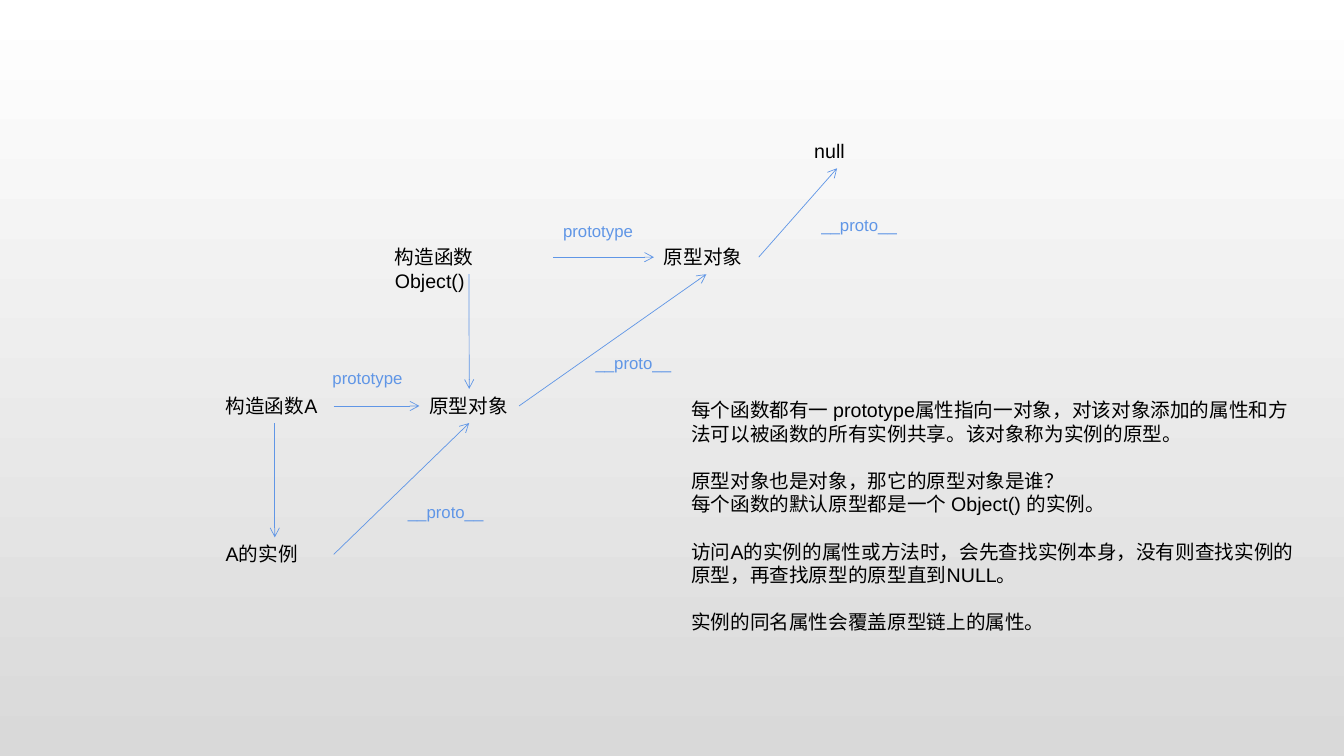
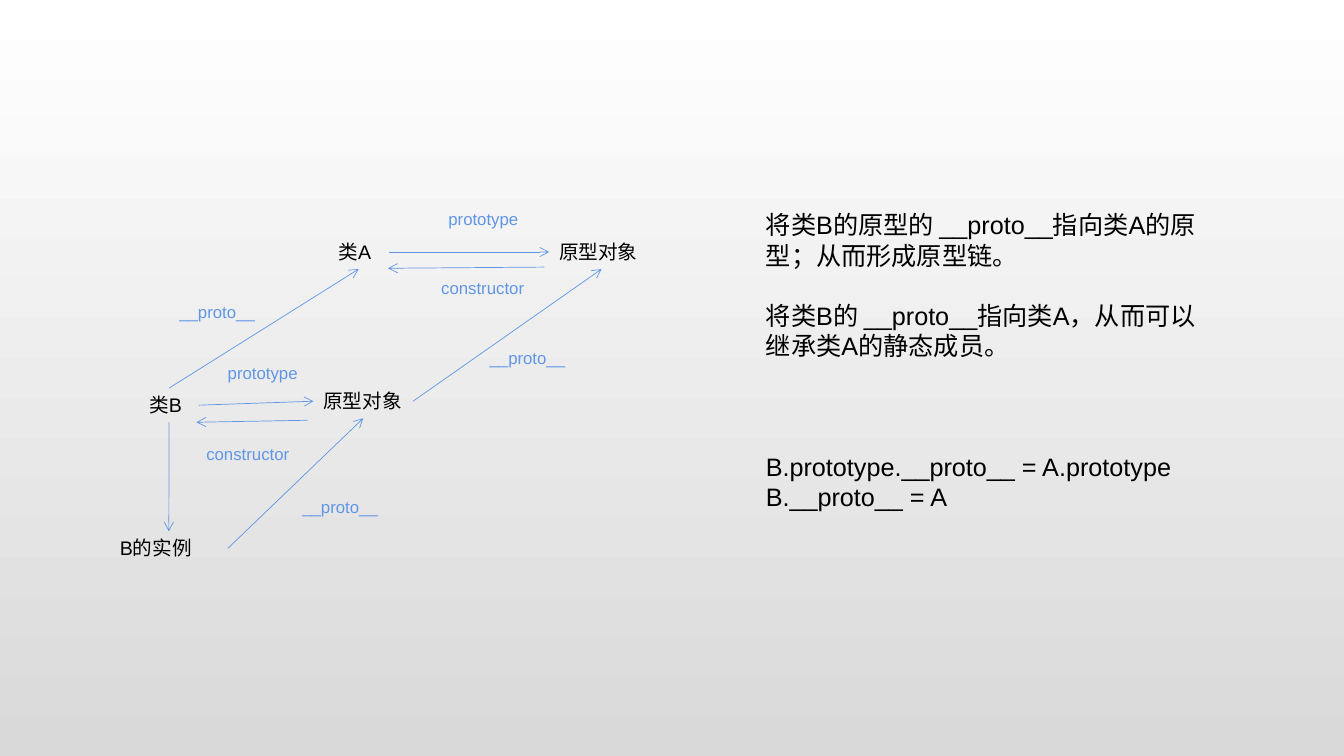
from collections import namedtuple

from pptx import Presentation
from pptx.dml.color import RGBColor
from pptx.enum.shapes import MSO_CONNECTOR as Link
from pptx.oxml.ns import qn
from pptx.util import Cm, Pt
from lxml.etree import SubElement

FONT = "Arial"
INK, ACCENT = "000000", "6096E6"
BACKDROP = ("FFFFFF", "D9D9D9")
NODE_HEIGHT, LABEL_HEIGHT = 0.86, 0.76
LABEL_WIDTHS = {"prototype": 2.41, "__proto__": 2.41, "constructor": 2.72}
TOP, LEFT, BOTTOM, RIGHT = range(4)  # connection sites of a box

Box = namedtuple("Box", "left top width height")


def color(value):
    """Turn a hex string into a colour."""
    return RGBColor.from_string(value)


def paint_backdrop(deck):
    """Give all slides the same top-to-bottom gradient."""
    fill = deck.slide_master.background.fill
    fill.gradient()
    fill.gradient_angle = 270
    for position, (stop, value) in enumerate(zip(fill.gradient_stops, BACKDROP)):
        stop.position = position
        stop.color.rgb = color(value)


def add_text(slide, box, paragraphs, size, ink=INK):
    """Write (text, space after in points) pairs into a wrapping text box."""
    shape = slide.shapes.add_textbox(*map(Cm, box))
    frame = shape.text_frame
    frame.word_wrap = True
    for index, (text, gap) in enumerate(paragraphs):
        para = frame.paragraphs[0] if index == 0 else frame.add_paragraph()
        para.text = text
        para.space_after = Pt(gap)
        para.font.name = FONT
        para.font.size = Pt(size)
        para.font.color.rgb = color(ink)
    return shape


def add_arrow(slide, start=(0, 0), end=(0, 0)):
    """Draw a thin straight arrow between two points."""
    arrow = slide.shapes.add_connector(Link.STRAIGHT, *map(Cm, (*start, *end)))
    arrow.line.color.rgb = color(ACCENT)
    arrow.line.width = Pt(0.5)
    properties = arrow.element.spPr
    SubElement(properties.find(qn("a:ln")), qn("a:tailEnd"), type="arrow")
    SubElement(properties, qn("a:effectLst"))
    return arrow


def add_diagram(slide, origin, nodes, links, labels, free_arrows=()):
    """Place nodes, the arrows joining them and arrow labels from an origin."""
    def shift(x, y):
        return origin[0] + x, origin[1] + y

    shapes = {}
    for name, (text, x, y, width) in nodes.items():
        box = Box(*shift(x, y), width, NODE_HEIGHT)
        shapes[name] = add_text(slide, box, [(text, 0)], 14)
    for source, source_site, target, target_site in links:
        arrow = add_arrow(slide)
        arrow.begin_connect(shapes[source], source_site)
        arrow.end_connect(shapes[target], target_site)
    for start, end in free_arrows:
        add_arrow(slide, shift(*start), shift(*end))
    for text, x, y in labels:
        box = Box(*shift(x, y), LABEL_WIDTHS[text], LABEL_HEIGHT)
        add_text(slide, box, [(text, 0)], 12, ACCENT)


def prototype_chain_slide(slide):
    """Show how an instance reaches null through its prototypes."""
    nodes = {
        "constructor A": ("构造函数A", 0, 6.42, 2.97),
        "instance": ("A的实例", 0, 10.16, 2.97),
        "A prototype": ("原型对象", 5.13, 6.42, 2.51),
        "Object": ("构造函数Object()", 4.26, 2.67, 4.24),
        "Object prototype": ("原型对象", 11.04, 2.67, 2.64),
        "null": ("null", 14.83, 0, 1.65),
    }
    links = [
        ("constructor A", RIGHT, "A prototype", LEFT),
        ("constructor A", BOTTOM, "instance", TOP),
        ("instance", RIGHT, "A prototype", BOTTOM),
        ("Object prototype", RIGHT, "null", BOTTOM),
        ("Object", BOTTOM, "A prototype", TOP),
        ("Object", RIGHT, "Object prototype", LEFT),
        ("A prototype", RIGHT, "Object prototype", BOTTOM),
    ]
    labels = [
        ("prototype", 2.69, 5.76),
        ("__proto__", 4.59, 9.14),
        ("prototype", 8.5, 2.06),
        ("__proto__", 9.32, 5.38),
        ("__proto__", 15.01, 1.9),
    ]
    add_diagram(slide, (5.44, 3.38), nodes, links, labels)
    gap = 16.8
    add_text(slide, Box(17.17, 9.91, 15.77, 7.44), [
        ("每个函数都有一 prototype属性指向一对象，对该对象添加的属性和"
         "方法可以被函数的所有实例共享。该对象称为实例的原型。", gap),
        ("原型对象也是对象，那它的原型对象是谁？", 0),
        ("每个函数的默认原型都是一个 Object() 的实例。", gap),
        ("访问A的实例的属性或方法时，会先查找实例本身，没有则查找实例"
         "的原型，再查找原型的原型直到NULL。", gap),
        ("实例的同名属性会覆盖原型链上的属性。", 0),
    ], 14)


def class_inheritance_slide(slide):
    """Show how class B inherits from class A."""
    nodes = {
        "B": ("类B", 0.74, 4.65, 1.5),
        "instance": ("B的实例", 0, 8.26, 2.97),
        "B prototype": ("原型对象", 5.13, 4.55, 2.51),
        "A": ("类A", 5.51, 0.79, 1.52),
        "A prototype": ("原型对象", 11.07, 0.79, 2.64),
    }
    links = [
        ("B", RIGHT, "B prototype", LEFT),
        ("B", BOTTOM, "instance", TOP),
        ("instance", RIGHT, "B prototype", BOTTOM),
        ("B prototype", RIGHT, "A prototype", BOTTOM),
        ("A", RIGHT, "A prototype", LEFT),
        ("B", TOP, "A", BOTTOM),
    ]
    labels = [
        ("prototype", 2.72, 3.89),
        ("__proto__", 4.6, 7.27),
        ("prototype", 8.28, 0),
        ("__proto__", 9.32, 3.51),
        ("constructor", 8.1, 1.75),
        ("__proto__", 1.5, 2.36),
        ("constructor", 2.18, 5.92),
    ]
    constructor_arrows = [
        ((4.98, 5.46), (2.18, 5.51)),
        ((10.95, 1.6), (7.01, 1.63)),
    ]
    add_diagram(slide, (2.77, 5.13), nodes, links, labels, constructor_arrows)
    add_text(slide, Box(19.05, 5.16, 11.48, 7.95), [
        ("将类B的原型的 __proto__指向类A的原型；从而形成原型链。", 21.6),
        ("将类B的 __proto__指向类A，从而可以继承类A的静态成员。", 64.6),
        ("B.prototype.__proto__ = A.prototype", 0),
        ("B.__proto__ = A", 0),
    ], 18)


def main():
    """Build and save the deck."""
    deck = Presentation()
    deck.slide_width, deck.slide_height = Cm(33.87), Cm(19.05)
    paint_backdrop(deck)
    blank = deck.slide_layouts[6]
    for build in (prototype_chain_slide, class_inheritance_slide):
        build(deck.slides.add_slide(blank))
    deck.save("out.pptx")


main()
